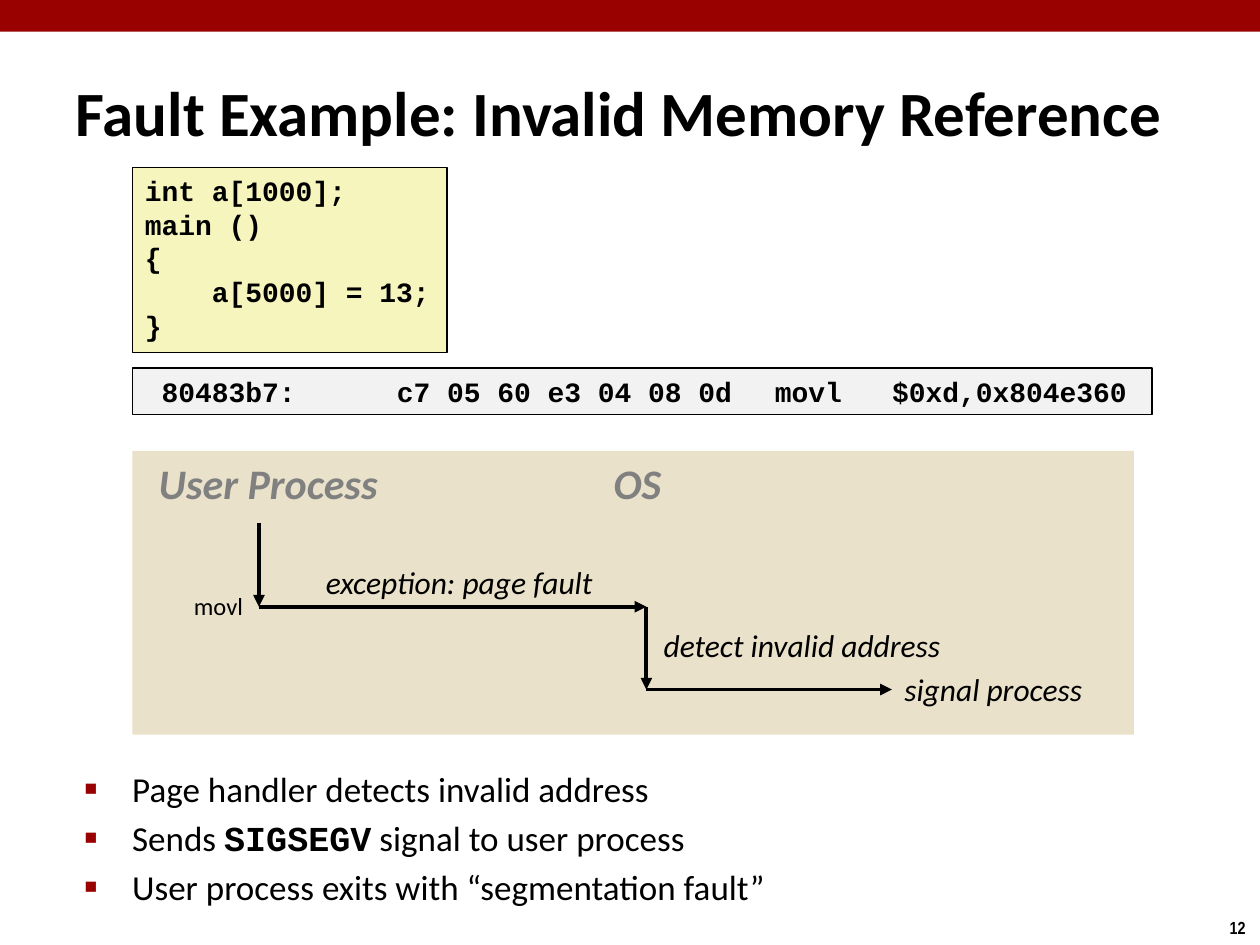
from lxml import etree
from pptx import Presentation
from pptx import util as u
from pptx.dml.color import RGBColor
from pptx.enum import shapes, text
from pptx.oxml.ns import qn

COLORS = {
    "black": "000000", "red": "990000", "gray": "808080",
    "code": "F6F5BD", "assembly": "F2F2F2", "panel": "E9E1C9",
}
SANS, MONO = "Calibri", "Courier New"
CODE = {"name": MONO, "size": u.Pt(16), "bold": True}
HEADING = {"size": u.Pt(24), "bold": True, "italic": True}
STEP = {"size": u.Pt(18), "italic": True}


def rgb(color):
    return RGBColor.from_string(COLORS[color])


class SlideBuilder:
    def __init__(self, slide):
        self.slide = slide

    def style(self, font, values, color="black"):
        for attribute, value in ({"name": SANS} | values).items():
            setattr(font, attribute, value)
        font.color.rgb = rgb(color)

    def place(self, shape, *box):
        for side, length in zip(("left", "top", "width", "height"), box):
            setattr(shape, side, u.Cm(length))

    def indent(self, paragraph, length):
        properties = paragraph._p.get_or_add_pPr()
        properties.set("marL", str(u.Cm(length)))
        properties.set("indent", str(-u.Cm(length)))
        return properties

    def title(self, wording, *box):
        heading = self.slide.shapes.title
        self.place(heading, *box)
        frame = heading.text_frame
        frame.text = wording
        frame.vertical_anchor = text.MSO_ANCHOR.MIDDLE
        frame.auto_size = text.MSO_AUTO_SIZE.NONE
        paragraph = frame.paragraphs[0]
        paragraph.alignment = text.PP_ALIGN.LEFT
        self.indent(paragraph, 0.33)
        self.style(paragraph.runs[0].font, {"size": u.Pt(36), "bold": True})

    def bullets(self, items, *box):
        body = self.slide.placeholders[1]
        self.place(body, *box)
        frame = body.text_frame
        frame.auto_size = text.MSO_AUTO_SIZE.NONE
        for number, pieces in enumerate(items):
            paragraph = frame.add_paragraph() if number else frame.paragraphs[0]
            paragraph.space_before = u.Pt(4 if number else 0)
            properties = self.indent(paragraph, 0.96)
            color = etree.SubElement(properties, qn("a:buClr"))
            etree.SubElement(color, qn("a:srgbClr"), val=COLORS["red"])
            etree.SubElement(properties, qn("a:buSzPct"), val="60000")
            etree.SubElement(properties, qn("a:buChar"), char="■")
            for wording, values in pieces:
                run = paragraph.add_run()
                run.text = wording
                self.style(run.font, {"size": u.Pt(20)} | values)

    def fill_text(self, shape, lines, values, color="black", wrap=False, tabs=()):
        frame = shape.text_frame
        frame.word_wrap = wrap
        frame.vertical_anchor = text.MSO_ANCHOR.TOP
        for number, line in enumerate(lines):
            paragraph = frame.add_paragraph() if number else frame.paragraphs[0]
            paragraph.alignment = text.PP_ALIGN.LEFT
            if tabs:
                stops = etree.SubElement(paragraph._p.get_or_add_pPr(), qn("a:tabLst"))
                for stop in tabs:
                    etree.SubElement(stops, qn("a:tab"), pos=str(u.Cm(stop)), algn="l")
            run = paragraph.add_run()
            run.text = line
            self.style(run.font, values, color)

    def rectangle(self, fill, *box, outlined=False):
        block = self.slide.shapes.add_shape(
            shapes.MSO_SHAPE.RECTANGLE, *map(u.Cm, box))
        block.shadow.inherit = False
        block.fill.solid()
        block.fill.fore_color.rgb = rgb(fill)
        if outlined:
            block.line.color.rgb = rgb("black")
            block.line.width = u.Pt(1)
        else:
            block.line.fill.background()
        return block

    def label(self, wording, *box, values, color="black", wrap=False):
        note = self.slide.shapes.add_textbox(*map(u.Cm, box))
        self.fill_text(note, [wording], values, color, wrap)

    def arrow(self, *ends):
        arrow = self.slide.shapes.add_connector(
            shapes.MSO_CONNECTOR.STRAIGHT, *map(u.Cm, ends))
        arrow.line.color.rgb = rgb("black")
        arrow.line.width = u.Pt(2.25)
        etree.SubElement(arrow.line._get_or_add_ln(), qn("a:tailEnd"), type="triangle")
        etree.SubElement(arrow._element.spPr, qn("a:effectLst"))


def main():
    deck = Presentation()
    deck.slide_width, deck.slide_height = u.Cm(25.4), u.Cm(19.05)
    page = SlideBuilder(deck.slides.add_slide(deck.slide_layouts[1]))

    # Top band, page number, title and conclusions
    page.rectangle("red", 0, 0, 25.4, 0.64)
    page.label("12", 24.54, 18.36, 0.86, 0.69,
               values={"name": "Arial Narrow", "size": u.Pt(10), "bold": True})
    page.title("Fault Example: Invalid Memory Reference", 1.27, 1.47, 24.13, 1.55)
    page.bullets([
        [("Page handler detects invalid address", {})],
        [("Sends ", {}), ("SIGSEGV", {"name": MONO, "bold": True}),
         (" signal to user process", {})],
        [("User process exits with “segmentation fault”", {})],
    ], 1.45, 15.34, 18.62, 3.48)

    # Source code and its machine instruction
    left = 2.67
    source = page.rectangle("code", left, 3.38, 6.35, 3.73, outlined=True)
    page.fill_text(source, ["int a[1000];", "main ()", "{", "    a[5000] = 13;", "}"], CODE)
    instruction = page.rectangle("assembly", left, 7.42, 20.55, 0.94, outlined=True)
    page.fill_text(instruction, [" 80483b7:\tc7 05 60 e3 04 08 0d \tmovl   $0xd,0x804e360"],
                   CODE, tabs=(5.08, 12.7))

    # Control flow panel with its two columns
    page.rectangle("panel", left, 9.09, 20.19, 5.72)
    for owner, x, width in (("User Process", 2.95, 5), ("OS", 12.12, 1.5)):
        page.label(owner, x, 9.09, width, 1.27, values=HEADING, color="gray")

    # Path from the faulting instruction to the signal
    user_x, os_x, signal_x = 5.22, 13.03, 17.98
    start_y, fault_y, signal_y = 10.54, 12.23, 13.9
    page.arrow(user_x, start_y, user_x, fault_y)
    page.arrow(user_x, fault_y, os_x, fault_y)
    page.arrow(os_x, fault_y, os_x, signal_y)
    page.arrow(os_x, signal_y, signal_x, signal_y)

    # Step names
    page.label("movl", 3.66, 11.79, 1.52, 0.86, values={"size": u.Pt(14)})
    page.label("exception: page fault", 6.32, 11.23, 5.94, 1.02, values=STEP)
    page.label("detect invalid address", 13.13, 12.5, 6.35, 1.02, values=STEP, wrap=True)
    page.label("signal process", signal_x, 13.39, 4.45, 1.02, values=STEP, wrap=True)

    deck.save("out.pptx")


if __name__ == "__main__":
    main()
